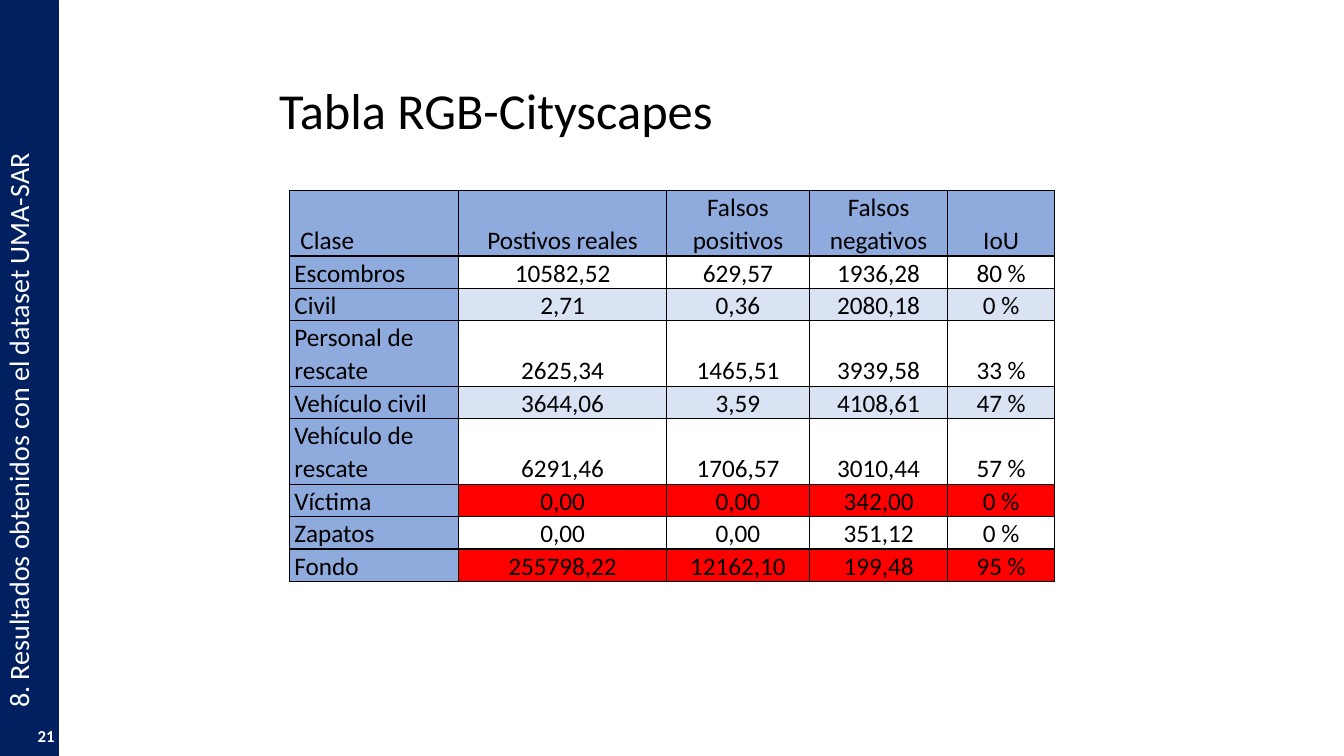
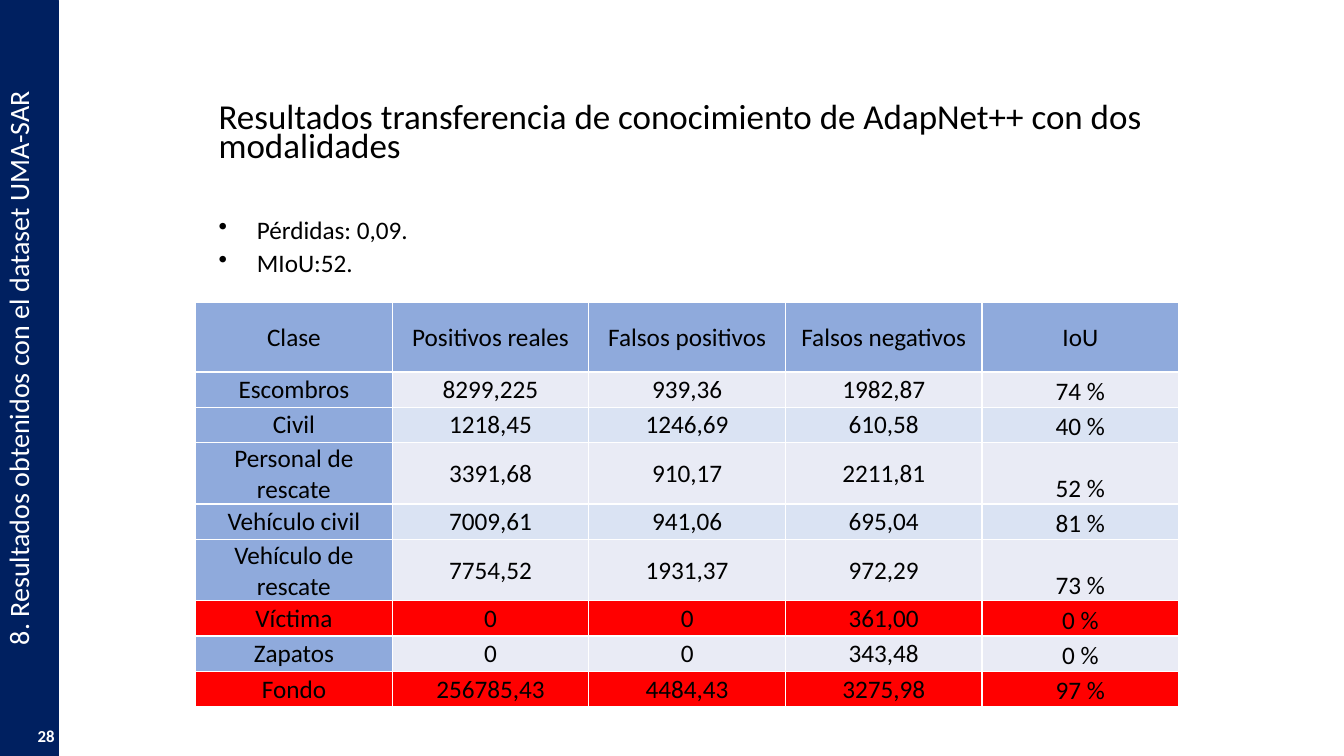
from lxml.etree import SubElement
from pptx import Presentation
from pptx.dml.color import RGBColor
from pptx.enum.shapes import MSO_SHAPE as Shape
from pptx.enum.text import MSO_ANCHOR as Anchor, PP_ALIGN as Align
from pptx.oxml.ns import qn
from pptx.util import Emu, Pt

PX = 9144
NAVY = RGBColor(0x00, 0x20, 0x60)
BLUE = RGBColor(0x8F, 0xAA, 0xDC)
PALE_BLUE = RGBColor(0xDA, 0xE3, 0xF3)
PALE_GREY = RGBColor(0xE9, 0xEB, 0xF5)
RED = RGBColor(0xFF, 0x00, 0x00)
WHITE = RGBColor(0xFF, 0xFF, 0xFF)
BLACK = RGBColor(0x00, 0x00, 0x00)

SECTION = "8. Resultados obtenidos con el dataset UMA-SAR"
FLAGGED_CLASSES = ("Víctima", "Fondo")

CITYSCAPES_ROWS = [
    ("Clase", "Postivos reales", "Falsos positivos", "Falsos negativos", "IoU"),
    ("Escombros", "10582,52", "629,57", "1936,28", "80 %"),
    ("Civil", "2,71", "0,36", "2080,18", "0 %"),
    ("Personal de rescate", "2625,34", "1465,51", "3939,58", "33 %"),
    ("Vehículo civil", "3644,06", "3,59", "4108,61", "47 %"),
    ("Vehículo de rescate", "6291,46", "1706,57", "3010,44", "57 %"),
    ("Víctima", "0,00", "0,00", "342,00", "0 %"),
    ("Zapatos", "0,00", "0,00", "351,12", "0 %"),
    ("Fondo", "255798,22", "12162,10", "199,48", "95 %"),
]
ADAPNET_ROWS = [
    ("Clase", "Positivos reales", "Falsos positivos", "Falsos negativos", "IoU"),
    ("Escombros", "8299,225", "939,36", "1982,87", "74 %"),
    ("Civil", "1218,45", "1246,69", "610,58", "40 %"),
    ("Personal de rescate", "3391,68", "910,17", "2211,81", "52 %"),
    ("Vehículo civil", "7009,61", "941,06", "695,04", "81 %"),
    ("Vehículo de rescate", "7754,52", "1931,37", "972,29", "73 %"),
    ("Víctima", "0", "0", "361,00", "0 %"),
    ("Zapatos", "0", "0", "343,48", "0 %"),
    ("Fondo", "256785,43", "4484,43", "3275,98", "97 %"),
]


def px(length):
    return Emu(length * PX)


class Deck:
    font = "Calibri"

    def __init__(self):
        self.presentation = Presentation()
        self.presentation.slide_width = px(1333)
        self.presentation.slide_height = px(750)
        self.slide = None

    def new_slide(self, number, section_indent):
        layout = self.presentation.slide_layouts[6]
        self.slide = self.presentation.slides.add_slide(layout)
        self.section_band(section_indent)
        self.text(str(number), 0, 710, 64, 40, 12, color=WHITE, bold=True,
                  align=Align.RIGHT, anchor=Anchor.MIDDLE)

    def style(self, paragraph, size, color=BLACK, bold=False,
              align=Align.LEFT, spacing=1.0):
        paragraph.alignment = align
        paragraph.line_spacing = spacing
        paragraph.font.name = self.font
        paragraph.font.size = Pt(size)
        paragraph.font.bold = bold
        paragraph.font.color.rgb = color

    def section_band(self, indent):
        band = self.slide.shapes.add_shape(
            Shape.RECTANGLE, px(-346), px(346), px(750), px(58))
        band.rotation = 270
        band.shadow.inherit = False
        band.fill.solid()
        band.fill.fore_color.rgb = NAVY
        band.line.color.rgb = NAVY
        band.line.width = Pt(0.75)
        frame = band.text_frame
        frame.word_wrap = True
        frame.vertical_anchor = Anchor.TOP
        frame.margin_left = px(10 + indent)
        paragraph = frame.paragraphs[0]
        paragraph.text = SECTION
        self.style(paragraph, 20, WHITE, spacing=0.9)

    def text(self, content, left, top, width, height, size,
             anchor=Anchor.TOP, **style):
        box = self.slide.shapes.add_textbox(
            px(left), px(top), px(width), px(height))
        frame = box.text_frame
        frame.word_wrap = True
        frame.vertical_anchor = anchor
        frame.text = content
        for paragraph in frame.paragraphs:
            self.style(paragraph, size, **style)
        return frame

    def bullets(self, items, left, top, width, height, size):
        frame = self.text("\n".join(items), left, top, width, height, size,
                          align=Align.JUSTIFY, spacing=1.07)
        for paragraph in frame.paragraphs:
            properties = paragraph._p.get_or_add_pPr()
            properties.set("marL", str(px(38)))
            properties.set("indent", str(px(-38)))
            bullet = properties.makeelement(qn("a:buChar"), {"char": "•"})
            properties.insert_element_before(bullet, "a:tabLst", "a:defRPr")

    def borders(self, cell, color):
        properties = cell._tc.get_or_add_tcPr()
        for side in ("a:lnL", "a:lnR", "a:lnT", "a:lnB"):
            line = SubElement(properties, qn(side), w=str(Pt(1)))
            fill = SubElement(line, qn("a:solidFill"))
            SubElement(fill, qn("a:srgbClr"), val=str(color))

    def table(self, rows, left, top, widths, heights, border, odd_fill, margins,
              flag_names, class_align, anchor, spacing):
        table = self.slide.shapes.add_table(
            len(rows), len(widths), px(left), px(top),
            px(sum(widths)), px(sum(heights))).table
        table.first_row = table.horz_banding = False
        for column, width in zip(table.columns, widths):
            column.width = px(width)
        for row, height in zip(table.rows, heights):
            row.height = px(height)
        side_margin, top_margin = margins
        last = len(widths) - 1
        for r, values in enumerate(rows):
            flagged = values[0] in FLAGGED_CLASSES
            for c, value in enumerate(values):
                cell = table.cell(r, c)
                self.borders(cell, border)
                cell.fill.solid()
                if flagged and (c > 0 or flag_names):
                    color = RED
                elif r == 0 or c == 0:
                    color = BLUE
                else:
                    color = odd_fill if r % 2 else PALE_BLUE
                cell.fill.fore_color.rgb = color
                cell.margin_left = cell.margin_right = px(side_margin)
                cell.margin_top, cell.margin_bottom = px(top_margin), 0
                bottom = c == last and r > 0
                cell.vertical_anchor = Anchor.BOTTOM if bottom else anchor
                paragraph = cell.text_frame.paragraphs[0]
                paragraph.text = value
                self.style(paragraph, 18, spacing=spacing,
                           align=class_align if c == 0 else Align.CENTER)
        return table


def row_heights(header, single, double):
    return [header, single, single, double, single, double] + [single] * 3


def main():
    deck = Deck()

    deck.new_slide(21, section_indent=38)
    cityscapes = deck.table(
        CITYSCAPES_ROWS, 287, 189, [168, 206, 142, 137, 106],
        row_heights(65, 32, 65), border=BLACK, odd_fill=WHITE, margins=(5, 0),
        flag_names=False, class_align=Align.LEFT, anchor=Anchor.BOTTOM,
        spacing=1.07)
    cityscapes.cell(0, 0).margin_left = px(11)
    deck.text("Tabla RGB-Cityscapes", 267, 40, 975, 145, 36,
              anchor=Anchor.MIDDLE, spacing=0.9)

    deck.new_slide(28, section_indent=100)
    deck.text("Resultados transferencia de conocimiento de AdapNet++ "
              "con dos modalidades", 207, 100, 975, 74, 25, spacing=0.7)
    deck.table(
        ADAPNET_ROWS, 194, 300, [195] * 5,
        row_heights(69, 35, 61), border=WHITE, odd_fill=PALE_GREY, margins=(1, 1),
        flag_names=True, class_align=Align.CENTER, anchor=Anchor.MIDDLE,
        spacing=1.0)
    deck.bullets(["Pérdidas: 0,09.", "MIoU:52."], 207, 206, 270, 116, 18)

    deck.presentation.save("out.pptx")


if __name__ == "__main__":
    main()
